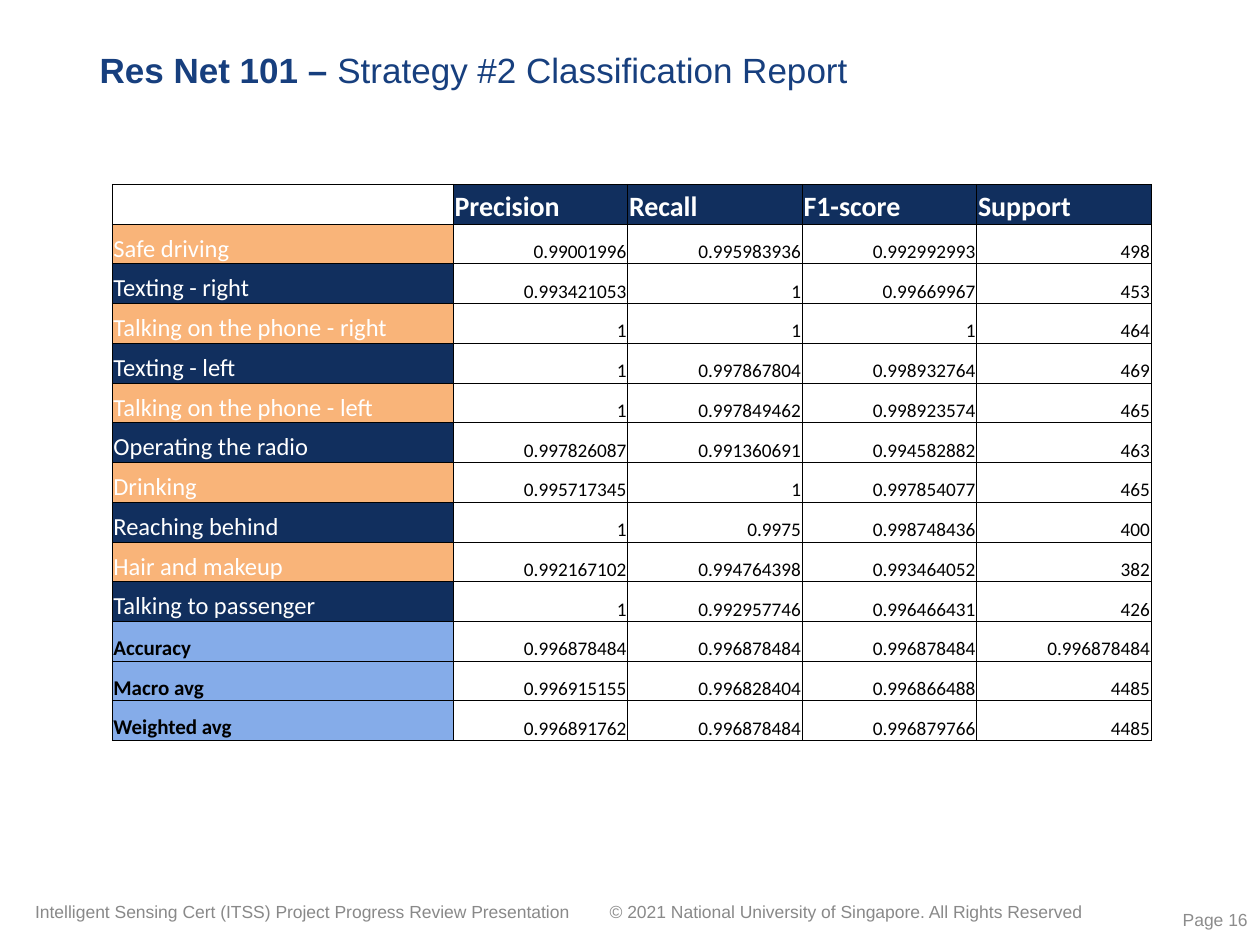
"""Build the classification report slide for Res Net 101, strategy #2."""
from dataclasses import dataclass

import lxml.etree
import pptx
import pptx.dml.color
import pptx.enum.text
import pptx.oxml.ns
import pptx.util

Pt = pptx.util.Pt
ALIGN = pptx.enum.text.PP_ALIGN
ANCHOR = pptx.enum.text.MSO_ANCHOR
COLORS = {
    "title": "173F7E", "footer": "898989", "page": "8C8C8C", "navy": "112F5E",
    "orange": "F9B479", "blue": "85ACE9", "white": "FFFFFF", "black": "000000",
}


@dataclass(frozen=True)
class TextStyle:
    size: float
    color: str
    bold: bool = False
    font: str = "Calibri"
    align: ALIGN = ALIGN.LEFT


@dataclass(frozen=True)
class Footer:
    text: str
    left: float
    width: float
    height: float
    anchor: ANCHOR
    style: TextStyle


HEADING = TextStyle(16, "white", bold=True)
CLASS_NAME = TextStyle(14, "white")
SUMMARY_NAME = TextStyle(12, "black", bold=True)
SCORE = TextStyle(11, "black", align=ALIGN.RIGHT)
FOOTER_STYLE = TextStyle(10, "footer", font="Arial")
PAGE_STYLE = TextStyle(10, "page", font="Arial", align=ALIGN.RIGHT)

FOOTERS = [
    Footer("© 2021 National University of Singapore. All Rights Reserved",
           341.3, 314, 18.7, ANCHOR.TOP, FOOTER_STYLE),
    Footer("Intelligent Sensing Cert (ITSS) Project Progress Review Presentation",
           13, 328.3, 18.7, ANCHOR.TOP, FOOTER_STYLE),
    Footer("Page 16", 630, 90, 28.8, ANCHOR.MIDDLE, PAGE_STYLE),
]
HEADINGS = ("", "Precision", "Recall", "F1-score", "Support")
CLASSES = [
    ("Safe driving", "0.99001996", "0.995983936", "0.992992993", "498"),
    ("Texting - right", "0.993421053", "1", "0.99669967", "453"),
    ("Talking on the phone - right", "1", "1", "1", "464"),
    ("Texting - left", "1", "0.997867804", "0.998932764", "469"),
    ("Talking on the phone - left", "1", "0.997849462", "0.998923574", "465"),
    ("Operating the radio", "0.997826087", "0.991360691", "0.994582882", "463"),
    ("Drinking", "0.995717345", "1", "0.997854077", "465"),
    ("Reaching behind", "1", "0.9975", "0.998748436", "400"),
    ("Hair and makeup", "0.992167102", "0.994764398", "0.993464052", "382"),
    ("Talking to passenger", "1", "0.992957746", "0.996466431", "426"),
]
SUMMARIES = [
    ("Accuracy",) + ("0.996878484",) * 4,
    ("Macro avg", "0.996915155", "0.996828404", "0.996866488", "4485"),
    ("Weighted avg", "0.996891762", "0.996878484", "0.996879766", "4485"),
]
COLUMN_WIDTHS = (195, 99.7, 99.7, 99.7, 99.7)
ROW_HEIGHT = 22.73


def rgb(name: str) -> pptx.dml.color.RGBColor:
    return pptx.dml.color.RGBColor.from_string(COLORS[name])


def format_paragraph(paragraph, style: TextStyle) -> None:
    paragraph.alignment = style.align
    for run in paragraph.runs:
        run.font.name = style.font
        run.font.size = Pt(style.size)
        run.font.bold = style.bold
        run.font.color.rgb = rgb(style.color)


def add_title(slide) -> None:
    title = slide.shapes.title
    title.left, title.top, title.width, title.height = Pt(49.7), Pt(19.4), Pt(520), Pt(43.2)
    frame = title.text_frame
    frame.text = "Res Net 101 – "
    frame.vertical_anchor = ANCHOR.MIDDLE
    frame.auto_size = pptx.enum.text.MSO_AUTO_SIZE.NONE
    heading = frame.paragraphs[0]
    heading.line_spacing = 0.9
    heading.add_run().text = "Strategy #2 Classification Report"
    format_paragraph(heading, TextStyle(20, "title", bold=True, font="Arial"))
    heading.runs[1].font.bold = False


def add_footer(slide, footer: Footer) -> None:
    box = slide.shapes.add_textbox(Pt(footer.left), Pt(511.2), Pt(footer.width), Pt(footer.height))
    frame = box.text_frame
    frame.word_wrap = True
    frame.vertical_anchor = footer.anchor
    frame.text = footer.text
    format_paragraph(frame.paragraphs[0], footer.style)


def add_borders(cell) -> None:
    properties = cell._tc.get_or_add_tcPr()
    qn = pptx.oxml.ns.qn
    for position, side in enumerate(("lnL", "lnR", "lnT", "lnB")):
        border = lxml.etree.Element(qn(f"a:{side}"), w=str(Pt(0.5)))
        fill = lxml.etree.SubElement(border, qn("a:solidFill"))
        lxml.etree.SubElement(fill, qn("a:srgbClr"), val=COLORS["black"])
        properties.insert(position, border)


def fill_cell(cell, text: str, style: TextStyle, fill: str) -> None:
    cell.margin_left = cell.margin_right = cell.margin_top = Pt(0.72)
    cell.margin_bottom = 0
    cell.vertical_anchor = ANCHOR.BOTTOM
    cell.text_frame.text = text
    format_paragraph(cell.text_frame.paragraphs[0], style)
    cell.fill.solid()
    cell.fill.fore_color.rgb = rgb(fill)
    add_borders(cell)


def add_report(slide) -> None:
    rows = [HEADINGS, *CLASSES, *SUMMARIES]
    report = slide.shapes.add_table(
        len(rows), len(HEADINGS), Pt(64.1), Pt(105.3),
        Pt(sum(COLUMN_WIDTHS)), Pt(ROW_HEIGHT * len(rows))).table
    for column, width in zip(report.columns, COLUMN_WIDTHS):
        column.width = Pt(width)
    for row_index, values in enumerate(rows):
        report.rows[row_index].height = Pt(ROW_HEIGHT)
        for column_index, value in enumerate(values):
            if row_index == 0:
                style, fill = HEADING, "navy" if value else "white"
            elif column_index > 0:
                style, fill = SCORE, "white"
            elif row_index > len(CLASSES):
                style, fill = SUMMARY_NAME, "blue"
            else:
                style, fill = CLASS_NAME, "orange" if row_index % 2 else "navy"
            fill_cell(report.cell(row_index, column_index), value, style, fill)


def main() -> None:
    presentation = pptx.Presentation()
    presentation.slide_width, presentation.slide_height = Pt(720), Pt(540)
    slide = presentation.slides.add_slide(presentation.slide_layouts.get_by_name("Title Only"))
    for footer in FOOTERS:
        add_footer(slide, footer)
    add_title(slide)
    add_report(slide)
    presentation.save("out.pptx")


if __name__ == "__main__":
    main()
